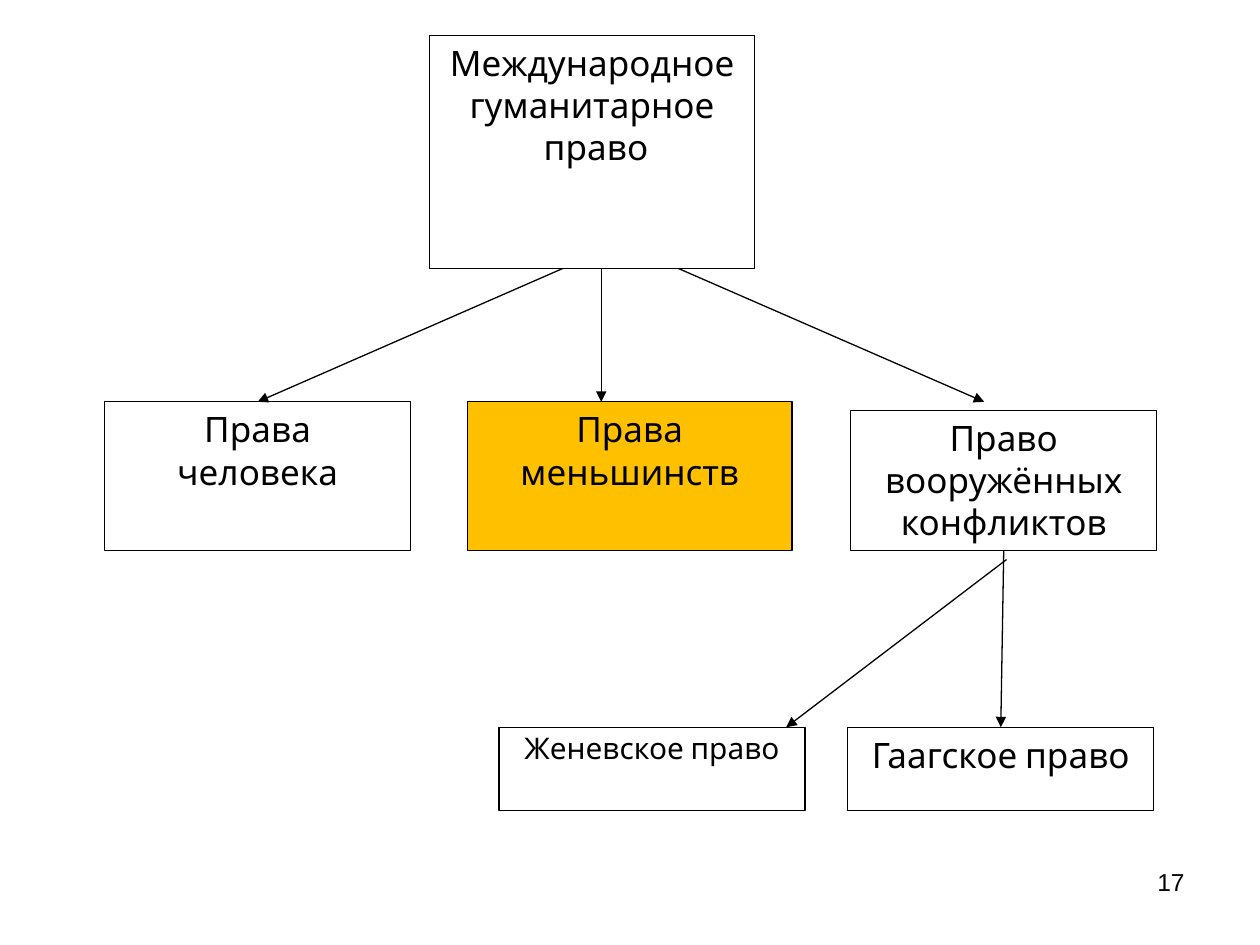
from dataclasses import dataclass
from typing import Any

from lxml.etree import SubElement
from pptx import Presentation
from pptx.dml.color import RGBColor
from pptx.enum.shapes import MSO_CONNECTOR as Connector, MSO_SHAPE as Shape
from pptx.enum.text import MSO_ANCHOR as Anchor, PP_ALIGN as Align
from pptx.oxml.ns import qn
from pptx.util import Cm, Pt

COLORS = {"ink": "000000", "paper": "FFFFFF", "accent": "FFC000"}
TOP, BOTTOM = 0, 2


@dataclass
class Diagram:
    """Holds the diagram style and the slide it draws on."""

    slide: Any
    font: str = "Cabin"
    size: float = 20
    line_width: float = 0.75

    def color(self, name):
        return RGBColor.from_string(COLORS[name])

    def add_lines(self, shape, lines, align, font, size, spacing=None):
        frame = shape.text_frame
        frame.word_wrap = True
        frame.vertical_anchor = Anchor.TOP
        for index, line in enumerate(lines):
            para = frame.add_paragraph() if index else frame.paragraphs[0]
            para.alignment = align
            if spacing:
                para.line_spacing = spacing
            span = para.add_run()
            span.text = line
            span.font.name = font
            span.font.size = Pt(size)
            span.font.color.rgb = self.color("ink")

    def box(self, place, lines, fill="paper", size=None, spacing=None):
        box = self.slide.shapes.add_shape(Shape.RECTANGLE, *map(Cm, place))
        box.shadow.inherit = False
        box.fill.solid()
        box.fill.fore_color.rgb = self.color(fill)
        box.line.color.rgb = self.color("ink")
        box.line.width = Pt(self.line_width)
        self.add_lines(box, lines, Align.CENTER, self.font, size or self.size, spacing)
        return box

    def arrow(self, start, end, source=None, target=None):
        arrow = self.slide.shapes.add_connector(
            Connector.STRAIGHT, *map(Cm, (*start, *end))
        )
        arrow.line.color.rgb = self.color("ink")
        arrow.line.width = Pt(self.line_width)
        outline = arrow._element.spPr.find(qn("a:ln"))
        SubElement(outline, qn("a:tailEnd"), type="triangle")
        SubElement(arrow._element.spPr, qn("a:effectLst"))
        if source is not None:
            arrow.begin_connect(source, BOTTOM)
        if target is not None:
            arrow.end_connect(target, TOP)

    def page_number(self, place, number):
        box = self.slide.shapes.add_textbox(*map(Cm, place))
        self.add_lines(box, [number], Align.RIGHT, "Arial", 14)


def main():
    deck = Presentation()
    deck.slide_width, deck.slide_height = Cm(25.4), Cm(19.05)
    diagram = Diagram(deck.slides.add_slide(deck.slide_layouts[6]))

    wide, narrow = 6.55, 6.17
    root_bottom, branch_top, leaf_top = 5.41, 8.1, 14.66

    diagram.page_number((18.21, 17.35, 5.92, 1.32), "17")
    diagram.box(
        (8.66, 0.71, wide, 4.7), ["Международное гуманитарное", " право"]
    )
    human_rights = diagram.box(
        (2.11, branch_top, narrow, 3), ["Права", "человека"]
    )
    diagram.box(
        (9.42, branch_top, wide, 3), ["Права", "меньшинств"], fill="accent"
    )
    armed_conflict = diagram.box(
        (17.15, 8.28, narrow, 2.82), ["Право", "вооружённых", "конфликтов"]
    )
    hague = diagram.box((17.09, leaf_top, narrow, 1.68), ["Гаагское право"])
    diagram.box(
        (10.06, leaf_top, narrow, 1.68), ["Женевское право"], size=17, spacing=0.9
    )

    diagram.arrow((20.29, 11.28), (15.85, leaf_top))
    diagram.arrow((20.29, 11.1), (20.29, leaf_top), armed_conflict, hague)
    diagram.arrow((12.12, root_bottom), (12.12, branch_top))
    diagram.arrow((11.35, root_bottom), (5.18, branch_top), target=human_rights)
    diagram.arrow((13.67, root_bottom), (19.84, branch_top))

    deck.save("out.pptx")


if __name__ == "__main__":
    main()
